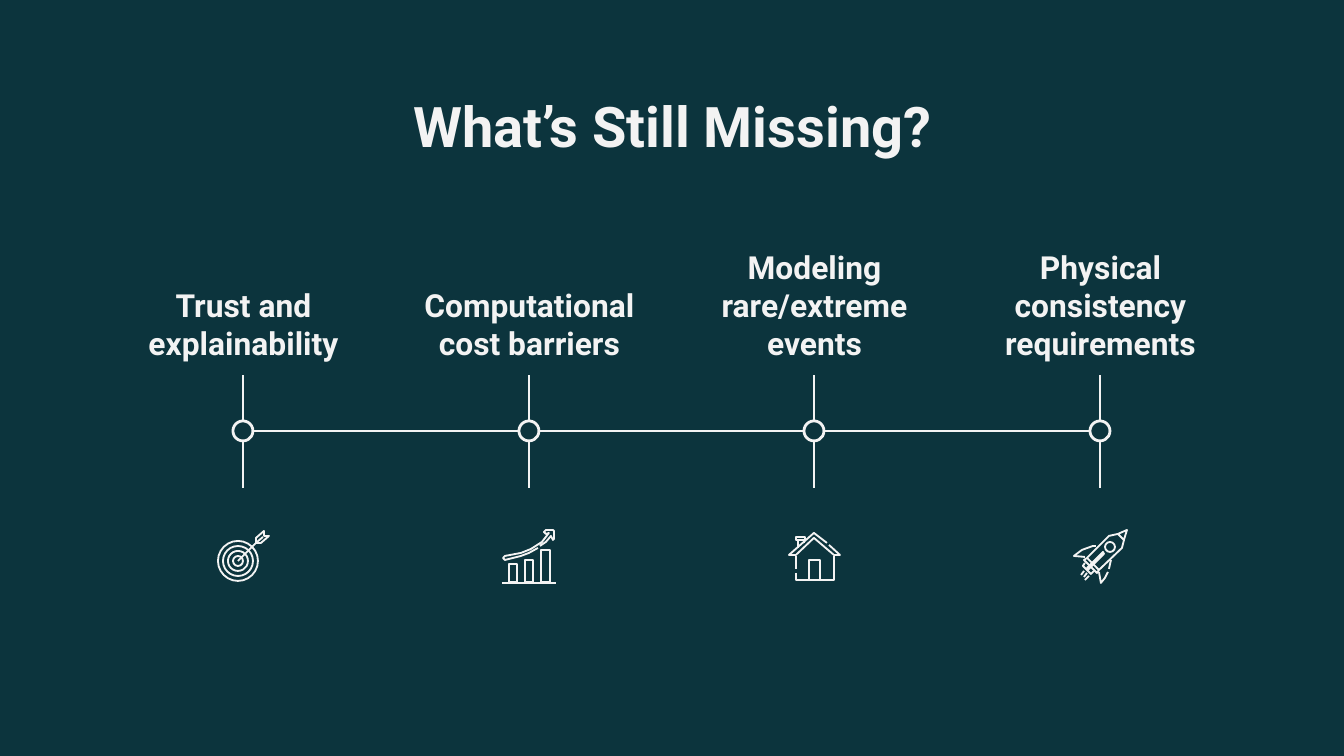
"""Build the "What's Still Missing?" timeline slide."""
from dataclasses import dataclass
from itertools import pairwise

from lxml import etree
from pptx import Presentation
from pptx import util as u
from pptx.dml.color import RGBColor
from pptx.enum import shapes, text
from pptx.oxml.ns import qn

PX = u.Inches(1) / 134.4
TEAL = RGBColor(0x0C, 0x34, 0x3D)
PALE = RGBColor(0xF3, 0xF3, 0xF3)
FONT = "Roboto"
INSET = 13
FIRST_X, LAST_X, AXIS_Y = 243, 1100, 431
MARKER_RADIUS = 10
STEM_TOP, STEM_BOTTOM = 375, 488
LABEL_WIDTH, LABEL_HEIGHT = 277, 67

Point = tuple[int, int]


@dataclass(frozen=True)
class Stroke:
    points: tuple[Point, ...]
    closed: bool = False


@dataclass(frozen=True)
class Ring:
    x: int
    y: int
    radius: int


@dataclass(frozen=True)
class Milestone:
    label: str
    strokes: tuple[Stroke, ...]
    rings: tuple[Ring, ...] = ()


def box(left: int, top: int, right: int, bottom: int) -> Stroke:
    return Stroke(((left, top), (right, top), (right, bottom), (left, bottom)), True)


TARGET = (
    Stroke(((-5, 561), (13, 543), (20, 537))),
    Stroke(((13, 543), (13, 538), (21, 531), (21, 536), (26, 536), (18, 543)), True),
)
TARGET_RINGS = tuple(Ring(-5, 561, radius) for radius in (20, 15, 10, 5))
GROWTH = (
    box(-20, 564, -12, 582),
    box(-4, 560, 4, 582),
    box(12, 550, 21, 582),
    Stroke(((-27, 583), (27, 583))),
    Stroke(((9, 548), (0, 553), (-8, 556), (-24, 560), (-26, 558), (-24, 556),
            (-8, 553), (2, 549), (13, 542), (20, 533), (17, 534), (15, 532),
            (17, 530), (24, 530), (25, 531), (25, 539), (24, 540), (22, 536),
            (17, 542), (11, 546))),
)
HOUSE = (
    Stroke(((15, 545), (26, 555), (20, 555), (0, 538), (-18, 555), (-25, 555),
            (0, 533), (13, 543))),
    Stroke(((-18, 556), (-18, 569))),
    Stroke(((-18, 573), (-18, 580), (20, 580), (20, 556))),
    Stroke(((-5, 580), (-5, 560), (6, 560), (6, 580))),
    box(-18, 537, -9, 540),
    Stroke(((-16, 540), (-16, 548))),
    Stroke(((-10, 540), (-10, 543))),
)
ROCKET = (
    Stroke(((27, 530), (24, 540), (18, 534)), True),
    Stroke(((18, 534), (9, 536), (-13, 558), (-1, 570), (22, 548), (24, 540))),
    Stroke(((-4, 546), (-7, 546), (-18, 550), (-26, 556), (-15, 557))),
    Stroke(((-1, 572), (1, 583), (5, 578), (8, 572))),
    Stroke(((9, 569), (11, 560))),
    Stroke(((-13, 558), (-16, 560), (-3, 573), (-1, 570))),
    Stroke(((-15, 563), (-17, 566), (-9, 574), (-6, 571))),
    Stroke(((-13, 568), (3, 552), (4, 554), (-12, 570)), True),
    Stroke(((-16, 571), (-19, 575))),
    Stroke(((-13, 573), (-16, 577))),
    Stroke(((-11, 576), (-15, 580))),
)
MILESTONES = (
    Milestone("Trust and explainability", TARGET, TARGET_RINGS),
    Milestone("Computational cost barriers", GROWTH),
    Milestone("Modeling rare/extreme events", HOUSE),
    Milestone("Physical consistency requirements", ROCKET, (Ring(10, 547, 5),)),
)


def px(value: int) -> u.Emu:
    return u.Emu(round(value * PX))


def outline(shape, width: float) -> None:
    shape.shadow.inherit = False
    shape.fill.background()
    shape.line.color.rgb = PALE
    shape.line.width = u.Pt(width)


def add_text(slide, frame: tuple[int, int, int, int], content: str, size: int,
             anchor: text.MSO_ANCHOR) -> None:
    text_frame = slide.shapes.add_textbox(*map(px, frame)).text_frame
    text_frame.word_wrap = True
    text_frame.vertical_anchor = anchor
    text_frame.margin_left = text_frame.margin_right = px(INSET)
    text_frame.margin_top = text_frame.margin_bottom = px(INSET)
    text_frame.text = content
    paragraph = text_frame.paragraphs[0]
    paragraph.alignment = text.PP_ALIGN.CENTER
    font = paragraph.runs[0].font
    font.name, font.size, font.bold = FONT, u.Pt(size), True
    font.color.rgb = PALE


def add_line(slide, start: Point, end: Point) -> None:
    line = slide.shapes.add_connector(
        shapes.MSO_CONNECTOR.STRAIGHT, *map(px, (*start, *end)))
    line.line.color.rgb = PALE
    line.line.width = u.Pt(1.5)
    etree.SubElement(line._element.spPr, qn("a:effectLst"))


def add_ring(collection, ring: Ring, center_x: int, width: float) -> None:
    frame = (center_x + ring.x - ring.radius, ring.y - ring.radius,
             2 * ring.radius, 2 * ring.radius)
    outline(collection.add_shape(shapes.MSO_SHAPE.OVAL, *map(px, frame)), width)


def add_icon(slide, milestone: Milestone, center_x: int) -> None:
    icon = slide.shapes.add_group_shape()
    for ring in milestone.rings:
        add_ring(icon.shapes, ring, center_x, 1)
    for stroke in milestone.strokes:
        start, *rest = [(center_x + x, y) for x, y in stroke.points]
        builder = icon.shapes.build_freeform(*start, scale=PX)
        builder.add_line_segments(rest, close=stroke.closed)
        outline(builder.convert_to_shape(), 1)


def add_milestone(slide, milestone: Milestone, center_x: int) -> None:
    add_ring(slide.shapes, Ring(0, AXIS_Y, MARKER_RADIUS), center_x, 1.5)
    add_line(slide, (center_x, AXIS_Y - MARKER_RADIUS), (center_x, STEM_TOP))
    add_line(slide, (center_x, AXIS_Y + MARKER_RADIUS), (center_x, STEM_BOTTOM))
    frame = (center_x - LABEL_WIDTH // 2, STEM_TOP - LABEL_HEIGHT,
             LABEL_WIDTH, LABEL_HEIGHT)
    add_text(slide, frame, milestone.label, 17, text.MSO_ANCHOR.BOTTOM)
    add_icon(slide, milestone, center_x)


def main() -> None:
    presentation = Presentation()
    presentation.slide_width, presentation.slide_height = px(1344), px(756)
    slide = presentation.slides.add_slide(presentation.slide_layouts[6])
    slide.background.fill.solid()
    slide.background.fill.fore_color.rgb = TEAL

    add_text(slide, (106, 79, 1133, 85), "What’s Still Missing?", 30,
             text.MSO_ANCHOR.TOP)
    step = (LAST_X - FIRST_X) / (len(MILESTONES) - 1)
    centers = [round(FIRST_X + step * index) for index in range(len(MILESTONES))]
    for milestone, center_x in zip(MILESTONES, centers):
        add_milestone(slide, milestone, center_x)
    for left, right in pairwise(centers):
        add_line(slide, (left + MARKER_RADIUS, AXIS_Y), (right - MARKER_RADIUS, AXIS_Y))
    presentation.save("out.pptx")


if __name__ == "__main__":
    main()
